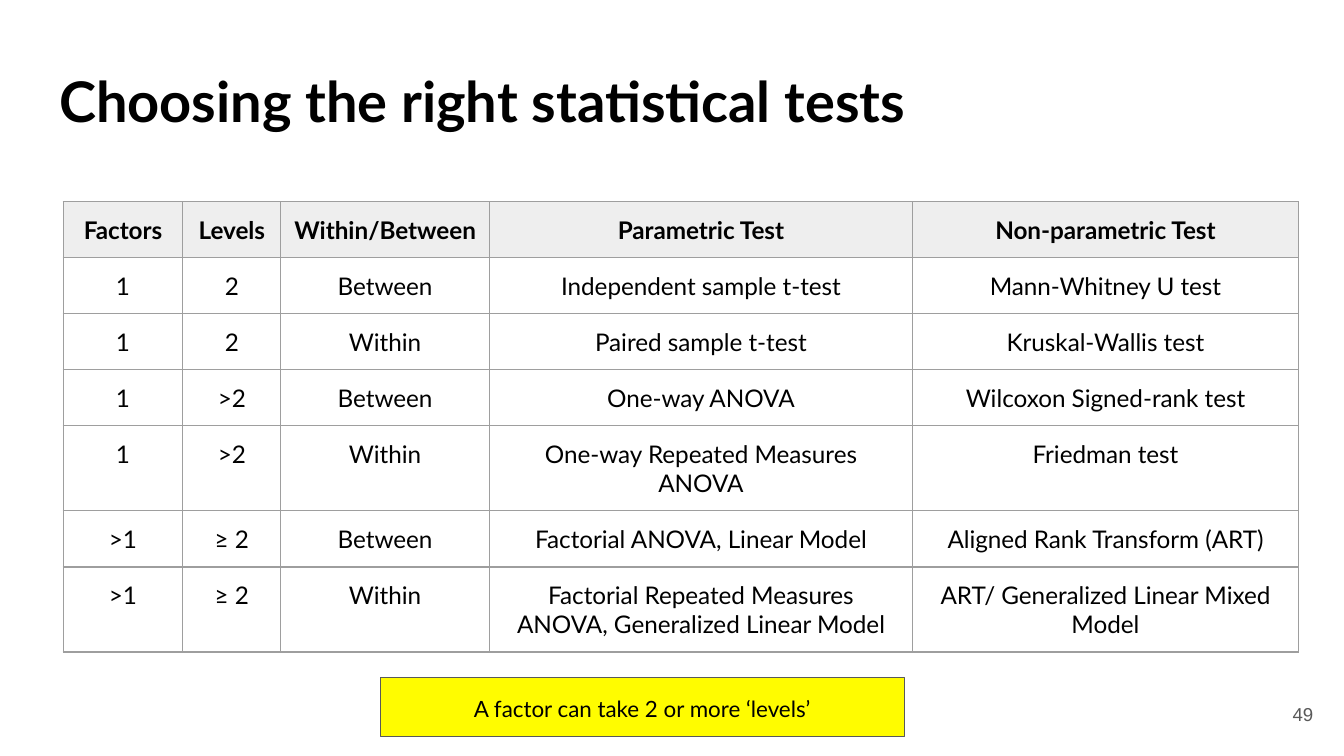
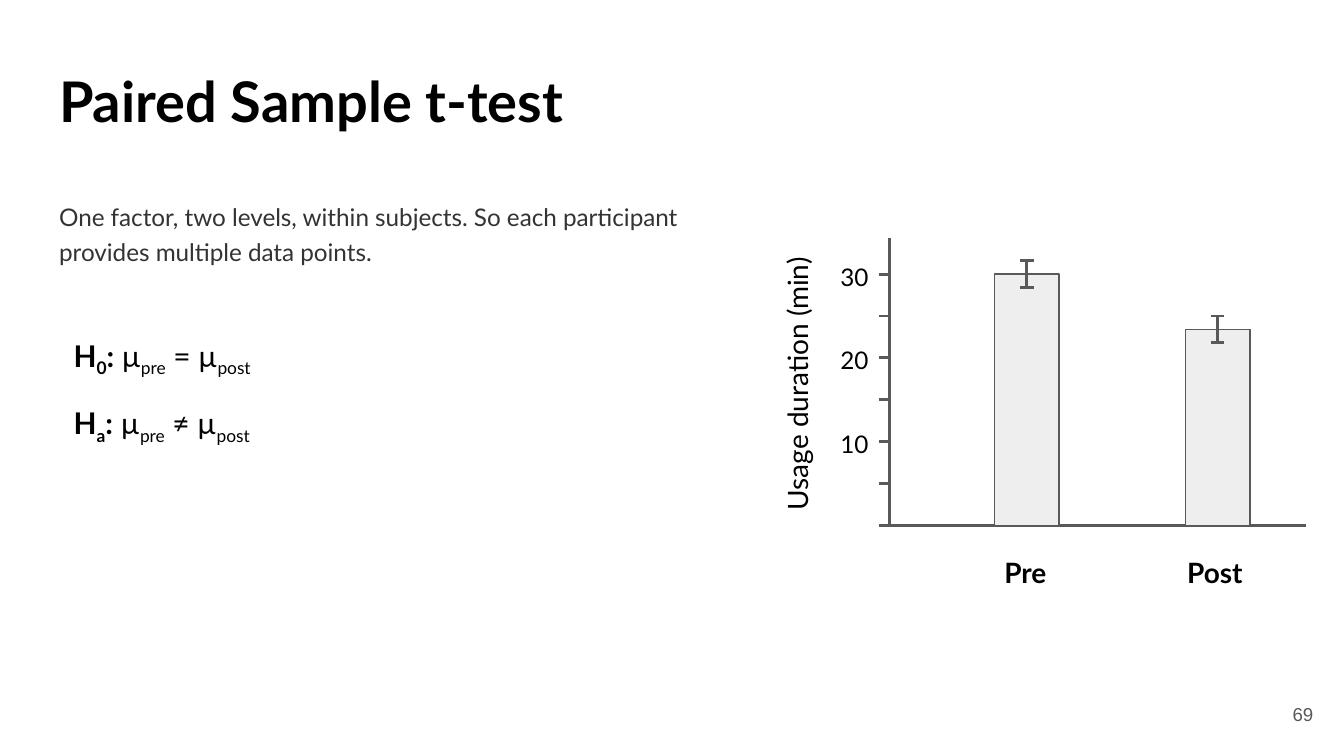
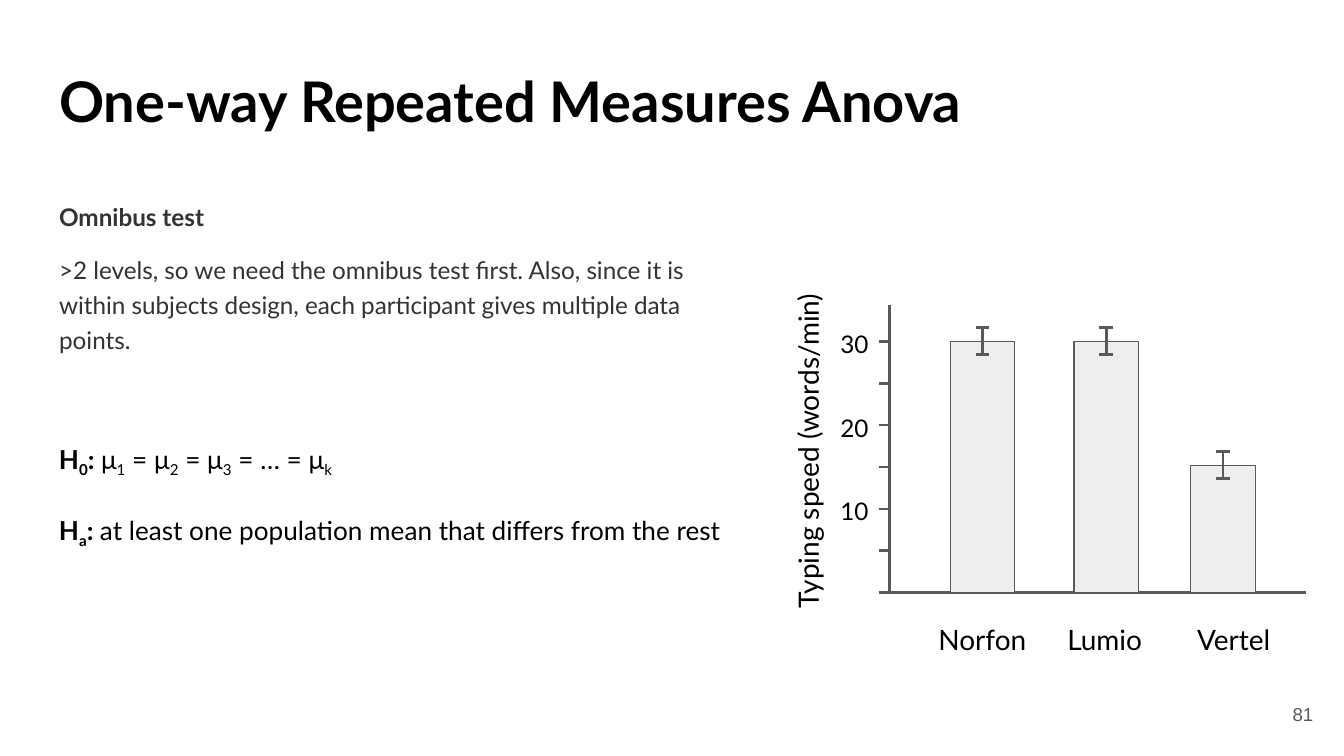
import dataclasses

import lxml.etree
import pptx
import pptx.dml.color
import pptx.enum.shapes
import pptx.enum.text
import pptx.oxml.ns
import pptx.util

Inches = pptx.util.Inches
Pt = pptx.util.Pt
Align = pptx.enum.text.PP_ALIGN
Anchor = pptx.enum.text.MSO_ANCHOR
qn = pptx.oxml.ns.qn


@dataclasses.dataclass(frozen=True)
class Theme:
    font: str = "Lato"
    page_font: str = "Arial"
    ink: str = "000000"
    body: str = "333333"
    line: str = "595959"
    pale: str = "EEEEEE"
    grid: str = "9E9E9E"
    note: str = "FFFC00"
    title_size: int = 30
    pair_size: int = 16
    name_size: int = 15
    rule_size: int = 14
    text_size: int = 13
    note_size: int = 12
    page_size: int = 10
    thin: float = 0.75
    thick: float = 1.5


THEME = Theme()


@dataclasses.dataclass(frozen=True)
class Look:
    size: int
    color: str = THEME.ink
    bold: bool = False
    align: Align = Align.LEFT
    leading: float = 1.0
    gap: int = 0
    font: str = THEME.font
    anchor: Anchor = Anchor.TOP


TITLE = Look(THEME.title_size, bold=True, leading=0.8)
BODY = Look(THEME.text_size, THEME.body, leading=1.2, gap=10)
PAIR = Look(THEME.pair_size, leading=1.2, gap=10)
RULE = Look(THEME.rule_size, leading=2.0)
CELL = Look(THEME.text_size, align=Align.CENTER)
HEAD = dataclasses.replace(CELL, bold=True)
NOTE = Look(THEME.note_size, align=Align.CENTER, leading=1.15,
            anchor=Anchor.MIDDLE)
NAME = Look(THEME.name_size, align=Align.CENTER, leading=1.2, gap=10)
SCALE = Look(THEME.text_size, align=Align.RIGHT, leading=1.2, gap=10,
             anchor=Anchor.MIDDLE)
PAGE = Look(THEME.page_size, THEME.line, align=Align.RIGHT,
            font=THEME.page_font, anchor=Anchor.MIDDLE)

# Chart measures in inches; a full bar stands for TOP units.
AXIS_X, AXIS_END, AXIS_TALL = 6.62, 9.72, 2.14
TICK, BAR_W, FULL, TOP = 0.08, 0.48, 1.87, 30
ERR, CAP = 0.1, 0.05

TESTS = [
    ("Factors", "Levels", "Within/Between", "Parametric Test",
     "Non-parametric Test"),
    ("1", "2", "Between", "Independent sample t-test", "Mann-Whitney U test"),
    ("1", "2", "Within", "Paired sample t-test", "Kruskal-Wallis test"),
    ("1", ">2", "Between", "One-way ANOVA", "Wilcoxon Signed-rank test"),
    ("1", ">2", "Within", "One-way Repeated Measures ANOVA", "Friedman test"),
    (">1", "≥ 2", "Between", "Factorial ANOVA, Linear Model",
     "Aligned Rank Transform (ART)"),
    (">1", "≥ 2", "Within",
     "Factorial Repeated Measures ANOVA, Generalized Linear Model",
     "ART/ Generalized Linear Mixed Model"),
]


def rgb(code):
    return pptx.dml.color.RGBColor.from_string(code)


def paint(run, look):
    run.font.name = look.font
    run.font.size = Pt(look.size)
    run.font.bold = look.bold
    run.font.color.rgb = rgb(look.color)


def space(para, look, first, last):
    para.alignment = look.align
    para.line_spacing = look.leading
    para.space_before = Pt(0 if first else look.gap)
    para.space_after = Pt(look.gap if last else 0)


def inset(item):
    """Give a text frame or a table cell equal margins."""
    for side in ("left", "right", "top", "bottom"):
        setattr(item, "margin_" + side, Inches(0.1))


def frame_up(frame, look):
    frame.word_wrap = True
    frame.auto_size = pptx.enum.text.MSO_AUTO_SIZE.NONE
    frame.vertical_anchor = look.anchor
    inset(frame)


def style(frame, look):
    paras = frame.paragraphs
    for i, para in enumerate(paras):
        space(para, look, i == 0, i == len(paras) - 1)
        for run in para.runs:
            paint(run, look)


def write(frame, text, look):
    frame.text = text
    frame_up(frame, look)
    style(frame, look)


def place(shape, left, top, width, height):
    shape.left, shape.top = Inches(left), Inches(top)
    shape.width, shape.height = Inches(width), Inches(height)


def add_label(slide, text, look, left, top, width, height):
    box = slide.shapes.add_textbox(*map(Inches, (left, top, width, height)))
    write(box.text_frame, text, look)
    return box


def add_math(slide, lines, look, *area):
    """Write lines of (bold, plain) text; parts between bars are subscripts."""
    frame = add_label(slide, "", look, *area).text_frame
    for i, line in enumerate(lines):
        para = frame.add_paragraph() if i else frame.paragraphs[0]
        space(para, look, i == 0, i == len(lines) - 1)
        for part, bold in zip(line, (True, False)):
            for j, piece in enumerate(part.split("|")):
                if piece:
                    run = para.add_run()
                    run.text = piece
                    paint(run, dataclasses.replace(look, bold=bold))
                    if j % 2:
                        run.font._element.set("baseline", "-25000")


def add_line(shapes, x1, y1, x2, y2):
    line = shapes.add_connector(pptx.enum.shapes.MSO_CONNECTOR.STRAIGHT,
                                *map(Inches, (x1, y1, x2, y2)))
    line.line.color.rgb = rgb(THEME.line)
    line.line.width = Pt(THEME.thick)
    lxml.etree.SubElement(line._element.spPr, qn("a:effectLst"))


def add_rect(slide, fill, left, top, width, height):
    rect = slide.shapes.add_shape(pptx.enum.shapes.MSO_SHAPE.RECTANGLE,
                                  *map(Inches, (left, top, width, height)))
    rect.shadow.inherit = False
    rect.fill.solid()
    rect.fill.fore_color.rgb = rgb(fill)
    rect.line.color.rgb = rgb(THEME.line)
    rect.line.width = Pt(THEME.thin)
    return rect


def add_slide(deck, layout, title, page):
    slide = deck.slides.add_slide(deck.slide_layouts[layout])
    place(slide.shapes.title, 0.34, 0.49, 9.32, 0.63)
    write(slide.shapes.title.text_frame, title, TITLE)
    add_label(slide, page, PAGE, 9.27, 5.1, 0.6, 0.43)
    return slide


def fill_body(slide, text, height):
    body = slide.placeholders[1]
    place(body, 0.34, 1.36, 5, height)
    write(body.text_frame, text, BODY)
    for para in body.text_frame.paragraphs:
        props = para._p.get_or_add_pPr()
        props.set("marL", "0")
        props.set("indent", "0")
        lxml.etree.SubElement(props, qn("a:buNone"))
    return body.text_frame


def edge(cell):
    """Draw the grid line on all four sides of a cell."""
    props = cell._tc.get_or_add_tcPr()
    for side in "LRTB":
        line = lxml.etree.SubElement(props, qn("a:ln" + side),
                                     w=str(Pt(THEME.thin)))
        fill = lxml.etree.SubElement(line, qn("a:solidFill"))
        lxml.etree.SubElement(fill, qn("a:srgbClr"), val=THEME.grid)


def add_grid(slide, rows, widths, left, top, row_h):
    area = (left, top, sum(widths), row_h * len(rows))
    table = slide.shapes.add_table(len(rows), len(widths),
                                   *map(Inches, area)).table
    table.horz_banding = False
    for col, width in zip(table.columns, widths):
        col.width = Inches(width)
    for i, row in enumerate(rows):
        table.rows[i].height = Inches(row_h)
        for j, text in enumerate(row):
            cell = table.cell(i, j)
            edge(cell)
            inset(cell)
            cell.text_frame.text = text
            style(cell.text_frame, CELL if i else HEAD)
            if i:
                cell.fill.background()
            else:
                cell.fill.solid()
                cell.fill.fore_color.rgb = rgb(THEME.pale)


def add_error(slide, x, y):
    group = slide.shapes.add_group_shape().shapes
    add_line(group, x, y - ERR, x, y + ERR)
    for end in (y - ERR, y + ERR):
        add_line(group, x - CAP, end, x + CAP, end)


def add_axes(slide, base, name, name_x, name_w):
    add_line(slide.shapes, AXIS_X, base - AXIS_TALL, AXIS_X, base)
    add_line(slide.shapes, AXIS_X, base, AXIS_END, base)
    for value in range(0, TOP + 1, 5):
        y = base - FULL * value / TOP
        add_line(slide.shapes, AXIS_X - TICK, y, AXIS_X, y)
        if value and value % 10 == 0:
            add_label(slide, str(value), SCALE, 5.99, y - 0.2, 0.57, 0.39)
    label = add_label(slide, name, NAME, name_x - name_w / 2, base - 1.28,
                      name_w, 0.45)
    label.rotation = 270


def add_bars(slide, base, bars, look):
    """Draw bars given as (name, value, bar centre, name centre)."""
    for name, value, x, name_x in bars:
        tall = FULL * value / TOP
        add_rect(slide, THEME.pale, x - BAR_W / 2, base - tall, BAR_W, tall)
        add_error(slide, x, base - tall)
        add_label(slide, name, look, name_x - 0.48, base + 0.07, 0.96, 0.45)


def show_tests(deck):
    slide = add_slide(deck, 5, "Choosing the right statistical tests", "49")
    add_grid(slide, TESTS, (0.89, 0.73, 1.55, 3.15, 2.87), 0.47, 1.5, 0.41)
    note = add_rect(slide, THEME.note, 2.83, 5.04, 3.9, 0.44)
    write(note.text_frame, "A factor can take 2 or more ‘levels’", NOTE)


def show_paired(deck):
    slide = add_slide(deck, 1, "Paired Sample t-test", "69")
    fill_body(slide, "One factor, two levels, within subjects. So each "
              "participant provides multiple data points.", 0.68)
    add_math(slide, [("H|0|: ", "µ|pre| = µ|post|"),
                     ("H|a|:", " µ|pre| ≠ µ|post|")],
             PAIR, 0.45, 2.35, 3.28, 0.93)
    base = 3.91
    add_axes(slide, base, "Usage duration (min)", 5.88, 2.18)
    add_bars(slide, base, [("Pre", 30, 7.64, 7.63),
                           ("Post", 23.4, 9.06, 9.04)],
             dataclasses.replace(NAME, bold=True))


def show_anova(deck):
    slide = add_slide(deck, 1, "One-way Repeated Measures Anova", "81")
    body = fill_body(slide, "Omnibus test\n>2 levels, so we need the omnibus "
                     "test first. Also, since it is within subjects design, "
                     "each participant gives multiple data points.", 1.35)
    body.paragraphs[0].runs[0].font.bold = True
    add_math(slide, [("H|0|: ", "μ|1| = μ|2| = μ|3| = … = μ|k|"),
                     ("H|a|: ", "at least one population mean that differs "
                      "from the rest")],
             RULE, 0.34, 2.93, 5.2, 0.91)
    base = 4.41
    add_axes(slide, base, "Typing speed (words/min)", 5.96, 2.65)
    add_bars(slide, base, [("Norfon", 30, 7.31, 7.31),
                           ("Lumio", 30, 8.23, 8.22),
                           ("Vertel", 15.2, 9.1, 9.18)], NAME)


def main():
    deck = pptx.Presentation()
    deck.slide_width = Inches(10)
    deck.slide_height = deck.slide_width * 9 // 16
    show_tests(deck)
    show_paired(deck)
    show_anova(deck)
    deck.save("out.pptx")


if __name__ == "__main__":
    main()
